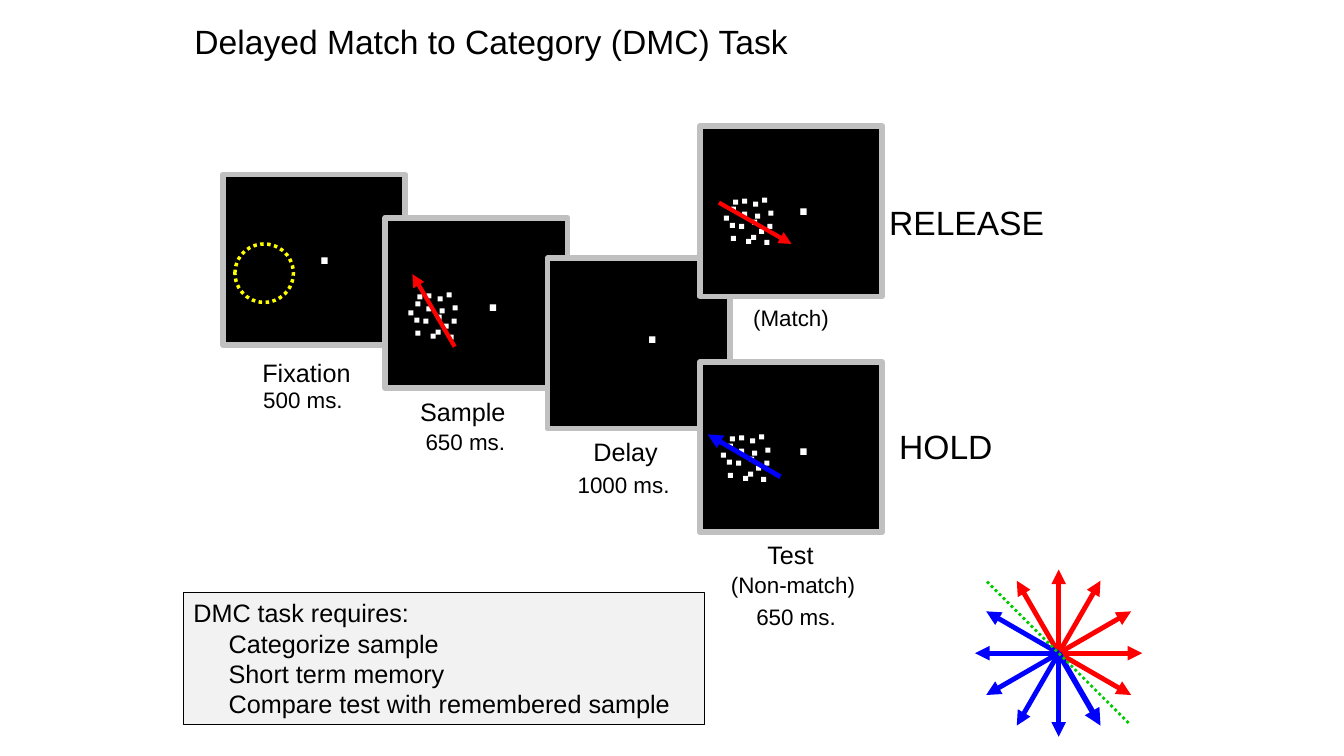
from math import cos, radians, sin

from lxml import etree
from pptx import Presentation
from pptx.dml.color import RGBColor
from pptx.enum.dml import MSO_LINE
from pptx.enum.shapes import MSO_CONNECTOR, MSO_SHAPE
from pptx.enum.text import MSO_ANCHOR, PP_ALIGN
from pptx.oxml.ns import qn
from pptx.util import Inches, Pt

RECT, OVAL = MSO_SHAPE.RECTANGLE, MSO_SHAPE.OVAL
STRAIGHT = MSO_CONNECTOR.STRAIGHT
DOTTED = MSO_LINE.ROUND_DOT
TOP, MIDDLE = MSO_ANCHOR.TOP, MSO_ANCHOR.MIDDLE
LEFT, CENTER = PP_ALIGN.LEFT, PP_ALIGN.CENTER

BLACK = RGBColor(0x00, 0x00, 0x00)
WHITE = RGBColor(0xFF, 0xFF, 0xFF)
SILVER = RGBColor(0xC0, 0xC0, 0xC0)
PALE = RGBColor(0xF2, 0xF2, 0xF2)
RED = RGBColor(0xFF, 0x00, 0x00)
BLUE = RGBColor(0x00, 0x00, 0xFF)
GREEN = RGBColor(0x00, 0xCC, 0x00)
YELLOW = RGBColor(0xFF, 0xFF, 0x00)

FONT = "Arial"
SCREEN_W, SCREEN_H = 1.81, 1.69
DOT = 0.05

SCREENS = [(2.21, 1.73), (3.82, 2.16), (5.43, 2.56), (6.94, 1.25), (6.94, 3.59)]
FIXATION_POINTS = [(2.82, 2.13), (4.49, 2.6), (6.07, 2.92), (7.57, 1.65), (7.57, 4.03)]
DOT_CLOUDS = [(4.05, 2.9), (7.15, 4.31), (7.18, 1.96)]
DOT_OFFSETS = [
    (0.15, 0.26), (0.22, 0.41), (0, 0.18), (0.06, 0.25), (0.07, 0.38), (0.35, 0.31),
    (0.18, 0.14), (0.31, 0.16), (0.44, 0.13), (0.28, 0.22), (0.27, 0.37), (0.43, 0.26),
    (0.38, 0), (0.18, 0.01), (0.07, 0.09), (0.29, 0.04), (0.4, 0.42), (0.09, 0.02),
]
LABELS = [
    ("Fixation", 2.5, 3.49, 1.08, 0.4, 18),
    ("Sample", 4.06, 3.83, 1.06, 0.5, 18),
    ("Delay", 5.78, 4.23, 0.85, 0.5, 18),
    ("Test", 7.51, 5.25, 0.66, 0.5, 18),
    ("(Non-match)", 6.96, 5.61, 1.81, 0.37, 16),
    ("(Match)", 7.24, 2.97, 1.21, 0.37, 16),
    ("500 ms.", 2.51, 3.78, 0.99, 0.37, 16),
    ("650 ms.", 4.12, 4.2, 0.99, 0.37, 16),
    ("1000 ms.", 5.5, 4.62, 1.37, 0.37, 16),
    ("650 ms.", 7.4, 5.93, 0.99, 0.37, 16),
]
HEADINGS = [
    ("Delayed Match to Category (DMC) Task", 1.83, 0.16, 6.94, 0.5),
    ("RELEASE", 8.72, 1.95, 1.76, 0.5),
    ("HOLD", 8.82, 4.18, 1.14, 0.5),
]
MOTION_ARROWS = [
    (4.51, 3.44, 4.09, 2.72, RED, 3),
    (7.13, 2.01, 7.85, 2.42, RED, 3),
    (7.74, 4.73, 7.02, 4.31, BLUE, 3.5),
]
REQUIREMENTS = ["Categorize sample", "Short term memory", "Compare test with remembered sample"]


def add_shape(shapes, kind, x, y, w, h, fill=None, line=None, width=1):
    sp = shapes.add_shape(kind, Inches(x), Inches(y), Inches(w), Inches(h))
    sp.shadow.inherit = False
    if fill is None:
        sp.fill.background()
    else:
        sp.fill.solid()
        sp.fill.fore_color.rgb = fill
    if line is None:
        sp.line.fill.background()
    else:
        sp.line.color.rgb = line
        sp.line.width = Pt(width)
    return sp


def format_paragraph(p, size, color, align, bold=False):
    p.alignment = align
    for r in p.runs:
        r.font.name = FONT
        r.font.size = Pt(size)
        r.font.bold = bold
        r.font.color.rgb = color


def add_text(shapes, text, x, y, w, h, size, color=BLACK, align=CENTER, bold=False):
    tf = shapes.add_textbox(Inches(x), Inches(y), Inches(w), Inches(h)).text_frame
    tf.word_wrap = align == LEFT
    tf.vertical_anchor = TOP if align == LEFT else MIDDLE
    tf.text = text
    format_paragraph(tf.paragraphs[0], size, color, align, bold)


def add_line(shapes, x1, y1, x2, y2, color, width, arrow=True):
    cxn = shapes.add_connector(STRAIGHT, Inches(x1), Inches(y1), Inches(x2), Inches(y2))
    cxn.line.color.rgb = color
    cxn.line.width = Pt(width)
    if arrow:
        etree.SubElement(cxn.line._get_or_add_ln(), qn("a:tailEnd"), type="triangle")
    else:
        cxn.line.dash_style = DOTTED
    etree.SubElement(cxn._element.spPr, qn("a:effectLst"))


def add_dot_cloud(shapes, x, y):
    cloud = shapes.add_group_shape()
    for dx, dy in DOT_OFFSETS:
        add_shape(cloud.shapes, RECT, x + dx, y + dy, DOT, DOT, WHITE)


def add_direction_wheel(shapes, x, y, radius, boundary):
    wheel = shapes.add_group_shape().shapes
    for angle in range(-30, 330, 30):
        a = radians(angle)
        color = RED if angle <= 120 else BLUE
        width = 4 if angle == 300 else 3.5
        add_line(wheel, x, y, x + radius * cos(a), y - radius * sin(a), color, width)
    add_line(wheel, x - boundary, y - boundary, x + boundary, y + boundary, GREEN, 2, arrow=False)


def add_requirements(shapes):
    box = add_shape(shapes, RECT, 1.82, 5.88, 5.17, 1.31, PALE, BLACK, 0.75)
    tf = box.text_frame
    tf.word_wrap = True
    tf.vertical_anchor = TOP
    tf.text = "DMC task requires:"
    for requirement in REQUIREMENTS:
        p = tf.add_paragraph()
        p.text = requirement
        p._p.get_or_add_pPr().set("marL", str(Inches(0.35)))
    for p in tf.paragraphs:
        format_paragraph(p, 18, BLACK, LEFT)


def main():
    prs = Presentation()
    prs.slide_width, prs.slide_height = Inches(13.33), Inches(7.5)
    shapes = prs.slides.add_slide(prs.slide_layouts[6]).shapes

    for heading in HEADINGS:
        add_text(shapes, *heading, 24, align=LEFT)
    add_requirements(shapes)
    for x, y in SCREENS:
        add_shape(shapes, RECT, x, y, SCREEN_W, SCREEN_H, BLACK, SILVER, 4)
    for x, y in FIXATION_POINTS:
        add_text(shapes, ".", x, y, 0.8, 0.63, 32, WHITE, bold=True)
    for label in LABELS:
        add_text(shapes, *label)
    for x, y in DOT_CLOUDS:
        add_dot_cloud(shapes, x, y)
    for arrow in MOTION_ARROWS:
        add_line(shapes, *arrow)
    add_direction_wheel(shapes, 10.5, 6.48, 0.83, 0.71)
    receptive_field = add_shape(shapes, OVAL, 2.33, 2.42, 0.58, 0.58, line=YELLOW, width=2.5)
    receptive_field.line.dash_style = DOTTED

    prs.save("out.pptx")


if __name__ == "__main__":
    main()
